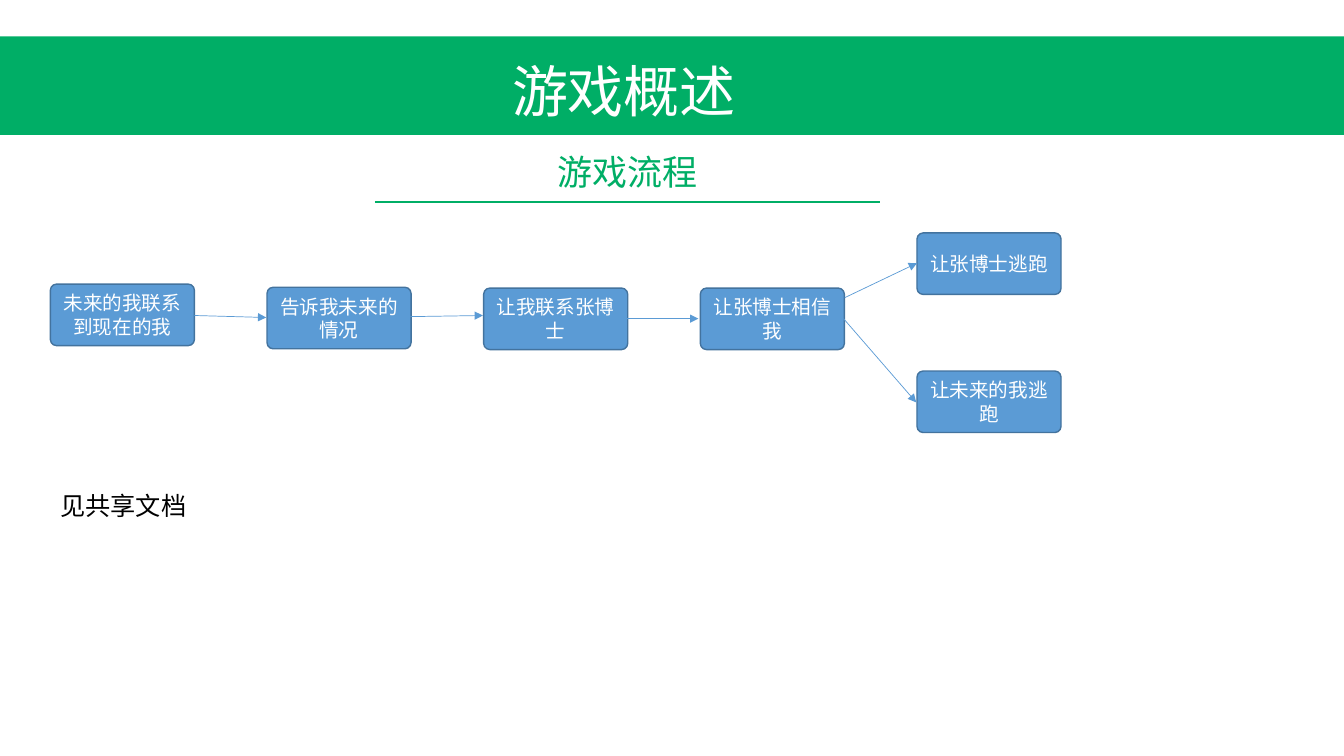
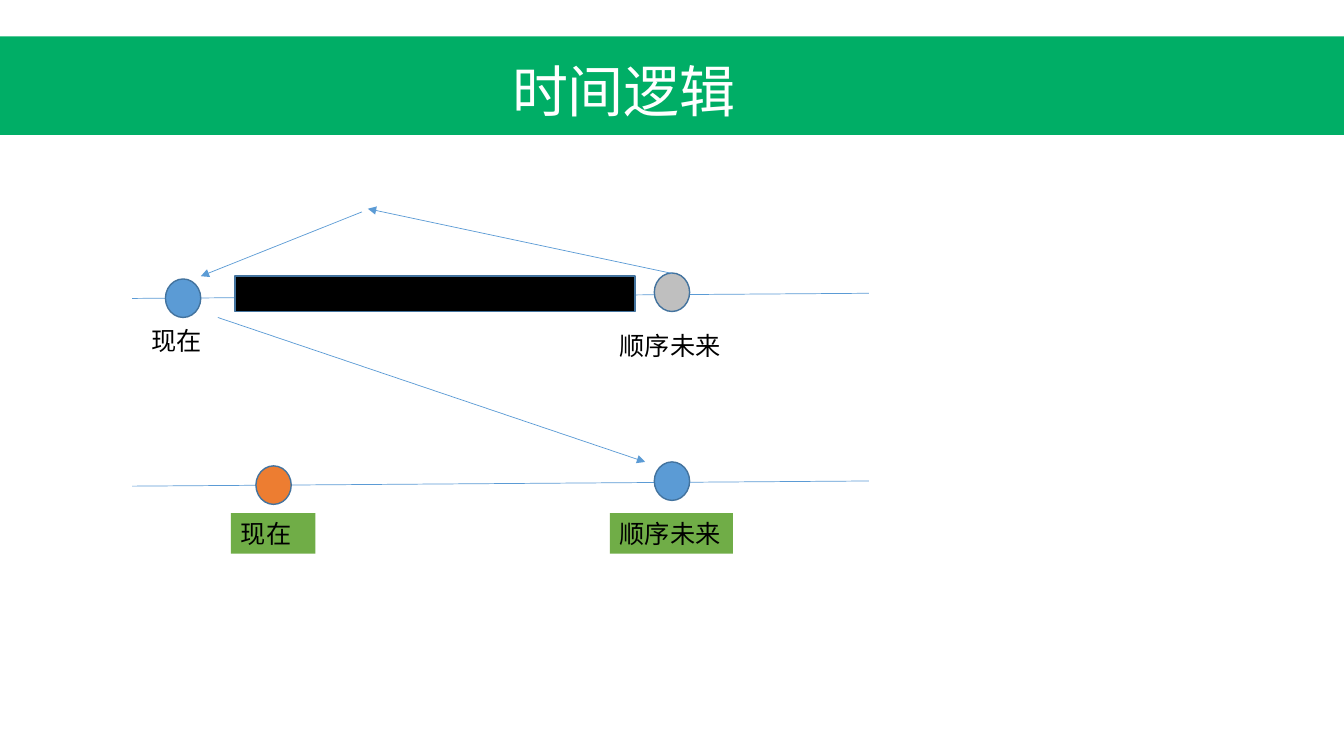
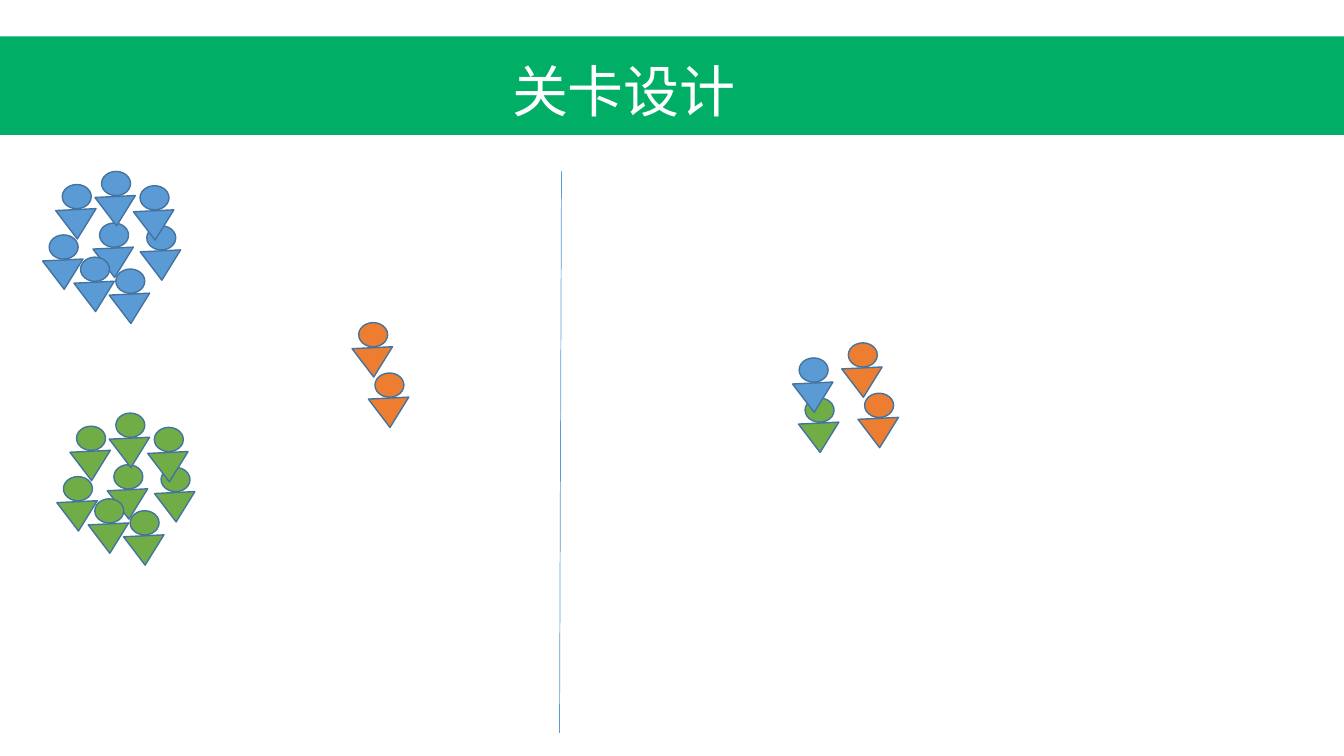
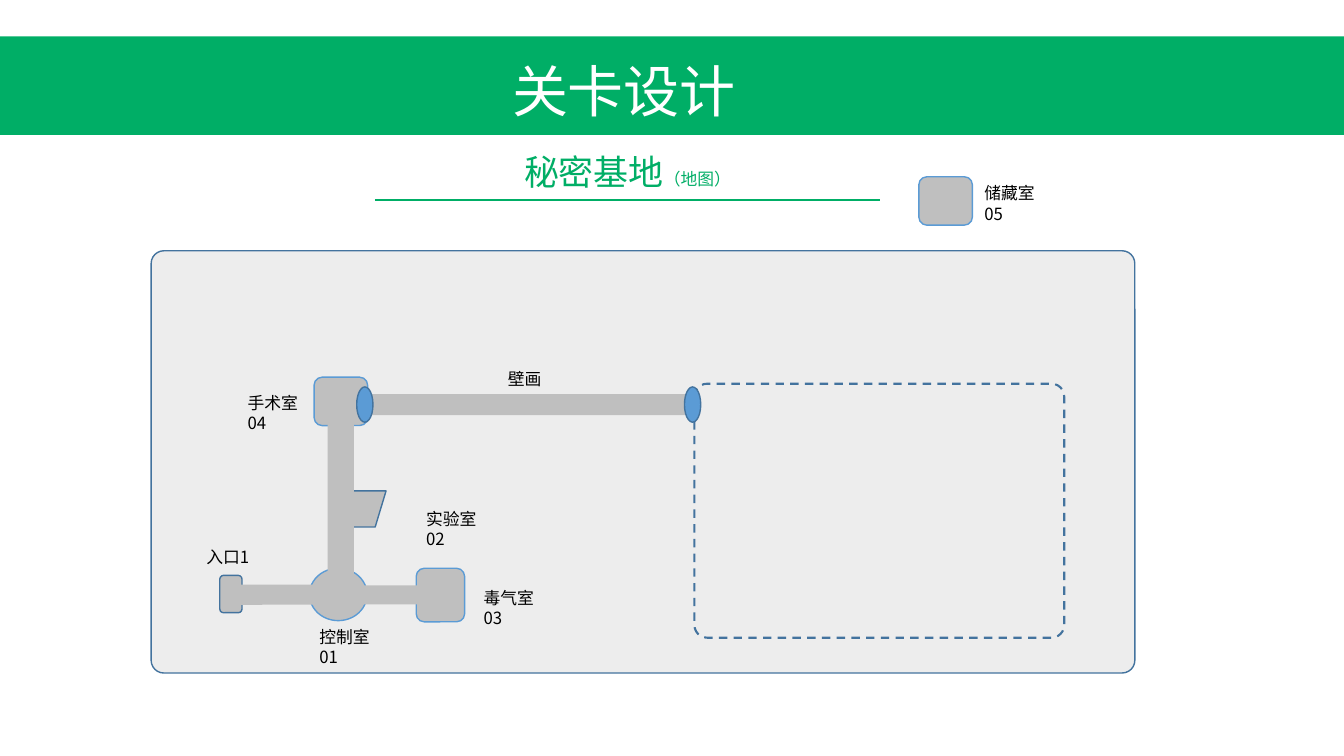
"""Build the four game design slides."""
import collections
import dataclasses

import lxml.etree
import pptx
import pptx.dml.color
import pptx.enum.dml
import pptx.enum.shapes
import pptx.enum.text
import pptx.oxml.ns
import pptx.util

Cm = pptx.util.Cm
Pt = pptx.util.Pt
qn = pptx.oxml.ns.qn
Rgb = pptx.dml.color.RGBColor.from_string
SHAPE = pptx.enum.shapes.MSO_SHAPE
ALIGN = pptx.enum.text.PP_ALIGN
ANCHOR = pptx.enum.text.MSO_ANCHOR
Box = collections.namedtuple("Box", "x y w h")


@dataclasses.dataclass(frozen=True)
class Theme:
    """Colours, fonts and sizes that the slides share."""
    green: str = "00AE66"
    white: str = "FFFFFF"
    black: str = "000000"
    blue: str = "5B9BD5"
    outline: str = "43739E"
    orange: str = "ED7D31"
    leaf: str = "70AD47"
    gray: str = "BFBFBF"
    floor: str = "EDEDED"
    cjk: str = "Noto Sans CJK SC"
    latin: str = "Arial"
    title: int = 40
    subtitle: int = 25
    label: int = 18
    node: int = 14
    small: int = 12
    thin: float = 0.5
    edge: float = 1
    rule: float = 1.5


T = Theme()


def inside(box, x, y, w=0, h=0):
    """Return a box whose offset is measured from another box."""
    return Box(box.x + x, box.y + y, w, h)


def place(shape, box):
    """Move and size a shape in centimetres."""
    shape.left, shape.top, shape.width, shape.height = map(Cm, box)


def add_run(p, text, size, color, font=T.cjk):
    """Add one formatted run to a paragraph."""
    r = p.add_run()
    r.text = text
    r.font.size = Pt(size)
    r.font.name = font
    r.font.color.rgb = Rgb(color)
    ea = lxml.etree.SubElement(r.font._element, qn("a:ea"))
    ea.set("typeface", T.cjk)


def add_shape(shapes, kind, box, fill=None, line=None, width=T.edge, adj=None, rot=0):
    """Add a flat preset shape."""
    sp = shapes.add_shape(kind, *map(Cm, box))
    sp.shadow.inherit = False
    sp.rotation = rot
    if adj is not None:
        sp.adjustments[0] = adj
    if fill:
        sp.fill.solid()
        sp.fill.fore_color.rgb = Rgb(fill)
    else:
        sp.fill.background()
    if line:
        sp.line.color.rgb = Rgb(line)
        sp.line.width = Pt(width)
    else:
        sp.line.fill.background()
    return sp


def add_line(s, start, end, color=T.blue, width=T.thin, arrow=False):
    """Add a straight line, with an arrowhead at its end if asked."""
    ends = map(Cm, (*start, *end))
    c = s.shapes.add_connector(pptx.enum.shapes.MSO_CONNECTOR.STRAIGHT, *ends)
    c.line.color.rgb = Rgb(color)
    c.line.width = Pt(width)
    sppr = c.element.spPr
    if arrow:
        lxml.etree.SubElement(sppr.find(qn("a:ln")), qn("a:tailEnd"), type="triangle")
    lxml.etree.SubElement(sppr, qn("a:effectLst"))


def add_arrows(s, box, ends):
    """Add arrows whose ends are measured from a box."""
    for x1, y1, x2, y2 in ends:
        add_line(s, (box.x + x1, box.y + y1), (box.x + x2, box.y + y2), arrow=True)


def add_label(s, box, text, size=T.label, font=T.latin, color=T.black, fill=None, align=ALIGN.LEFT):
    """Add a text box and return its paragraph."""
    sp = s.shapes.add_textbox(*map(Cm, box))
    if fill:
        sp.fill.solid()
        sp.fill.fore_color.rgb = Rgb(fill)
    tf = sp.text_frame
    tf.word_wrap = True
    tf.auto_size = pptx.enum.text.MSO_AUTO_SIZE.SHAPE_TO_FIT_TEXT
    p = tf.paragraphs[0]
    p.alignment = align
    add_run(p, text, size, color, font)
    return p


def add_slide(prs, title):
    """Add a slide with the green band and its title."""
    s = prs.slides.add_slide(prs.slide_layouts[5])
    sp = s.shapes.title
    place(sp, Box(12.65, 1.3, 6.32, 1.96))
    tf = sp.text_frame
    tf.auto_size = pptx.enum.text.MSO_AUTO_SIZE.NONE
    tf.vertical_anchor = ANCHOR.TOP
    p = tf.paragraphs[0]
    p.alignment = ALIGN.LEFT
    add_run(p, title, T.title, T.white)
    band = add_shape(s.shapes, SHAPE.RECTANGLE, Box(0, 0.92, 33.87, 2.48), T.green)
    sp.element.addprevious(band.element)
    return s


def add_subtitle(s, box, text, drop, suffix=None):
    """Add a centred subtitle with a rule the given drop below its top."""
    y = box.y + drop
    add_line(s, (box.x, y), (box.x + box.w, y), T.green, T.rule)
    p = add_label(s, box, text, T.subtitle, T.cjk, T.green, align=ALIGN.CENTER)
    if suffix:
        add_run(p, suffix, T.small, T.green)


def add_flow(s, box):
    """Add the story steps and the arrows between them."""
    pitch = 5.46
    steps = [
        (0, 1.29, "未来的我联系到现在的我"),
        (1, 1.37, "告诉我未来的情况"),
        (2, 1.39, "让我联系张博士"),
        (3, 1.39, "让张博士相信我"),
        (4, 0, "让张博士逃跑"),
        (4, 3.48, "让未来的我逃跑"),
    ]
    for column, y, text in steps:
        node = inside(box, column * pitch, y, 3.63, 1.55)
        sp = add_shape(s.shapes, SHAPE.ROUNDED_RECTANGLE, node, T.blue, T.outline, adj=0.1)
        tf = sp.text_frame
        tf.word_wrap = True
        tf.vertical_anchor = ANCHOR.MIDDLE
        p = tf.paragraphs[0]
        p.alignment = ALIGN.CENTER
        add_run(p, text, T.node, T.white)
    add_arrows(s, box, [
        (3.63, 2.08, 5.44, 2.13),
        (8.97, 2.11, 10.9, 2.08),
        (14.5, 2.16, 16.33, 2.16),
        (20.02, 1.63, 21.84, 0.76),
        (19.99, 2.16, 21.82, 4.27),
    ])


def add_timeline(s, box, moments, fill=None):
    """Add a rising axis with a dot and a label for each moment."""
    add_line(s, (box.x, box.y + box.h), (box.x + box.w, box.y))
    for text, color, (dot_x, dot_y), (x, y, w) in moments:
        dot = inside(box, dot_x, dot_y, 0.89, 0.97)
        add_shape(s.shapes, SHAPE.OVAL, dot, color, T.outline)
        add_label(s, inside(box, x, y, w, 1.02), text, fill=fill)


def add_time_jumps(s, box):
    """Add the jumps between the timelines and the blacked-out span."""
    add_arrows(s, box, [
        (13.61, 1.63, 5.94, 0),
        (5.79, 0.08, 1.73, 1.7),
        (2.16, 2.74, 12.93, 6.38),
    ])
    span = inside(box, 2.59, 1.7, 10.08, 0.89)
    add_shape(s.shapes, SHAPE.RECTANGLE, span, T.black, T.outline)


def add_people(s, box, color, offsets):
    """Add a group of people, each a head over a tilted triangle."""
    for x, y in offsets:
        person = s.shapes.add_group_shape().shapes
        head = inside(box, x + 0.15, y, 0.73, 0.61)
        body = inside(box, x, y + 0.63, 1.02, 0.74)
        add_shape(person, SHAPE.OVAL, head, color, T.outline)
        add_shape(person, SHAPE.ISOSCELES_TRIANGLE, body, color, T.outline, rot=177.2)


def add_room_label(s, box, text):
    """Add a small label of the map."""
    add_label(s, box, text, T.small, T.cjk)


def add_map(s, box):
    """Add the base with its rooms, corridors, doors and labels."""
    rounded, oval = SHAPE.ROUNDED_RECTANGLE, SHAPE.OVAL
    add_shape(s.shapes, rounded, box, T.floor, T.outline, adj=0.03)
    parts = [
        (rounded, (1.73, 8.18, 0.56, 0.94), T.gray, T.outline, 0),
        (oval, (3.99, 8, 1.45, 1.32), T.gray, T.blue, 0),
        (rounded, (6.68, 8, 1.22, 1.35), T.gray, T.blue, 0),
        (rounded, (2.18, 8.41, 2.16, 0.51), T.gray, None, 0),
        (SHAPE.FLOWCHART_DATA, (4.55, 6.05, 1.37, 0.91), T.gray, T.outline, 0),
        (rounded, (4.83, 8.43, 2.06, 0.48), T.gray, None, 0),
        (rounded, (4.17, 3.12, 1.22, 1.35), T.gray, T.blue, 90),
        (rounded, (2.36, 5.56, 4.83, 0.66), T.gray, None, 90),
    ]
    for kind, area, fill, line, rot in parts:
        add_shape(s.shapes, kind, inside(box, *area), fill, line, rot=rot)
    hall = inside(box, 13.69, 3.35, 9.32, 6.4)
    sp = add_shape(s.shapes, rounded, hall, None, T.outline, T.rule, adj=0.05)
    sp.line.dash_style = pptx.enum.dml.MSO_LINE.DASH
    add_shape(s.shapes, rounded, inside(box, 5.23, 3.61, 8.38, 0.53), T.gray)
    for x in (5.18, 13.44):
        add_shape(s.shapes, oval, inside(box, x, 3.43, 0.41, 0.89), T.blue, T.outline)
    labels = [
        ("入口1", (1.14, 7.32, 2.06, 0.76)),
        ("壁画", (8.74, 2.84, 1.4, 0.76)),
        ("控制室01", (3.99, 9.35, 2.06, 1.27)),
        ("毒气室03", (8.13, 8.36, 2.06, 1.27)),
        ("实验室02", (6.68, 6.38, 1.8, 1.27)),
        ("手术室04", (2.18, 3.45, 2.06, 1.27)),
    ]
    for text, area in labels:
        add_room_label(s, inside(box, *area), text)


def add_storage(s, box):
    """Add the storage room that lies outside the base."""
    add_shape(s.shapes, SHAPE.ROUNDED_RECTANGLE, box, T.gray, T.blue, rot=90)
    add_room_label(s, inside(box, 1.34, 0.1, 2.06, 1.27), "储藏室05")


def build_overview(prs):
    """Build the game overview slide."""
    s = add_slide(prs, "游戏概述")
    add_subtitle(s, Box(9.45, 3.68, 12.73, 1.32), "游戏流程", 1.42)
    add_flow(s, Box(1.27, 5.87, 25.47, 5.03))
    add_label(s, Box(1.27, 12.22, 5.44, 1.02), "见共享文档")


def build_time_logic(prs):
    """Build the time logic slide."""
    s = add_slide(prs, "时间逻辑")
    add_timeline(s, Box(3.33, 7.39, 18.57, 0.13), [
        ("现在", T.blue, (0.84, -0.36), (0.23, 0.69, 2.13)),
        ("顺序未来", T.gray, (13.16, -0.51), (12.04, 0.81, 3.1)),
    ])
    add_timeline(s, Box(3.33, 12.12, 18.57, 0.13), [
        ("现在", T.orange, (3.12, -0.38), (2.49, 0.81, 2.13)),
        ("顺序未来", T.blue, (13.16, -0.48), (12.04, 0.81, 3.1)),
    ], T.leaf)
    add_time_jumps(s, Box(3.33, 5.26, 18.57, 6.38))


def build_teams(prs):
    """Build the level design slide with the groups of people."""
    s = add_slide(prs, "关卡设计")
    crowd = [(0.33, 0.33), (1.27, 1.3), (2.46, 1.37), (2.29, 0.36),
             (1.68, 2.46), (0.79, 2.16), (0, 1.6), (1.32, 0)]
    pair = [(0, 0), (0.41, 1.27)]
    single = [(0, 0)]
    add_people(s, Box(1.09, 4.32, 3.48, 3.83), T.blue, crowd)
    add_people(s, Box(1.45, 10.41, 3.48, 3.83), T.leaf, crowd)
    add_people(s, Box(8.89, 8.13, 1.43, 2.64), T.orange, pair)
    add_line(s, (14.15, 4.32), (14.1, 18.47))
    add_people(s, Box(21.23, 8.64, 1.43, 2.64), T.orange, pair)
    add_people(s, Box(20.14, 10.03, 1.02, 1.37), T.leaf, single)
    add_people(s, Box(19.99, 9.02, 1.02, 1.37), T.blue, single)


def build_base(prs):
    """Build the level design slide with the map of the base."""
    s = add_slide(prs, "关卡设计")
    add_subtitle(s, Box(9.45, 3.68, 12.73, 1.32), "秘密基地", 1.35, "（地图）")
    add_map(s, Box(3.81, 6.32, 24.79, 10.64))
    add_storage(s, Box(23.22, 4.39, 1.22, 1.35))


def main():
    """Build and save the presentation."""
    prs = pptx.Presentation()
    prs.slide_width, prs.slide_height = Cm(33.87), Cm(19.05)
    for build in (build_overview, build_time_logic, build_teams, build_base):
        build(prs)
    prs.save("out.pptx")


if __name__ == "__main__":
    main()
